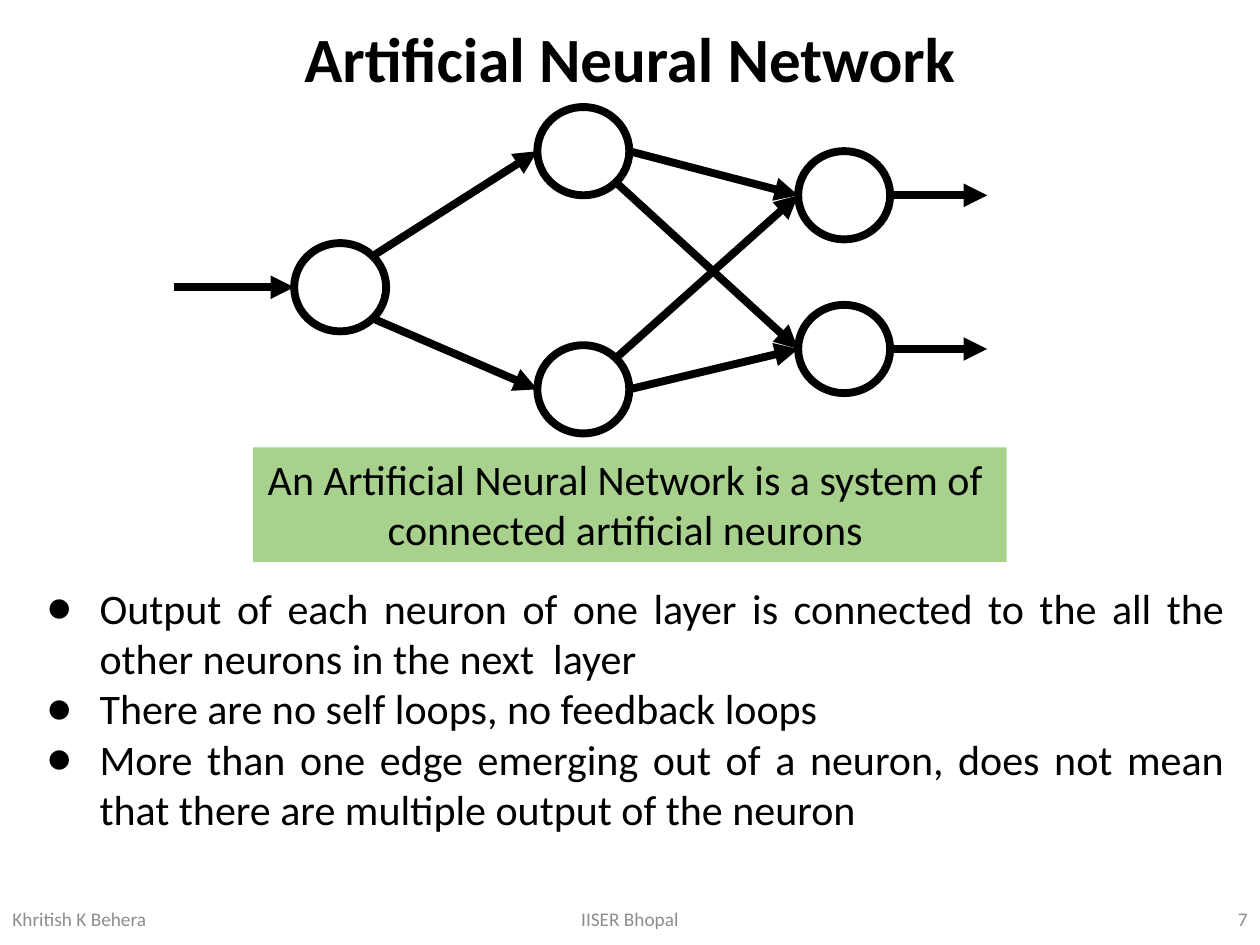
from math import cos, radians, sin

from lxml.etree import SubElement
from pptx import Presentation
from pptx.dml.color import RGBColor
from pptx.enum.shapes import MSO_CONNECTOR, MSO_SHAPE
from pptx.enum.text import MSO_ANCHOR, MSO_AUTO_SIZE, PP_ALIGN
from pptx.oxml.ns import qn
from pptx.util import Inches, Pt

# Content
TITLE = "Artificial Neural Network"
CAPTION = ["An Artificial Neural Network is a system of ",
           "connected artificial neurons "]
BULLETS = [
    "Output of each neuron of one layer is connected to the all the other "
    "neurons in the next  layer",
    "There are no self loops, no feedback loops",
    "More than one edge emerging out of a neuron, does not mean that there "
    "are multiple output of the neuron ",
]
FOOTER = [  # text, left, width, alignment
    ("Khritish K Behera", 0, 2.25, PP_ALIGN.LEFT),
    ("IISER Bhopal", 3.31, 3.38, PP_ALIGN.CENTER),
    ("7", 7.75, 2.25, PP_ALIGN.RIGHT),
]
FONT, BLACK, WHITE, GREY, GREEN = "Calibri", "000000", "FFFFFF", "8C8C8C", "A9D18E"

# Network: neuron centres, and edges with the angle at which they leave
NEURON_W, NEURON_H, STROKE = 0.73, 0.7, 4.5
NEURONS = {
    "input": (2.7, 2.28),
    "hidden 1": (4.63, 1.2), "hidden 2": (4.63, 3.09),
    "output 1": (6.7, 1.55), "output 2": (6.7, 2.77),
}
RIGHT, DOWN, LEFT, UP = 0, 45, 180, -45
EDGES = [
    ("input", UP, "hidden 1"), ("input", DOWN, "hidden 2"),
    ("hidden 1", RIGHT, "output 1"), ("hidden 1", DOWN, "output 2"),
    ("hidden 2", UP, "output 1"), ("hidden 2", RIGHT, "output 2"),
]
INPUT_LENGTH, OUTPUT_LENGTH = 0.95, 0.77


def color(value):
    return RGBColor.from_string(value)


def place(sp, left, top, width, height):
    sp.left, sp.top = Inches(left), Inches(top)
    sp.width, sp.height = Inches(width), Inches(height)


def write(sp, lines, size, align, fill=BLACK, anchor=MSO_ANCHOR.TOP, bold=False):
    tf = sp.text_frame
    tf.text = "\n".join(lines)
    tf.word_wrap = True
    tf.auto_size = MSO_AUTO_SIZE.NONE
    tf.vertical_anchor = anchor
    for p in tf.paragraphs:
        p.alignment = align
        p.space_before = Pt(0)
        for r in p.runs:
            r.font.name, r.font.size, r.font.bold = FONT, Pt(size), bold
            r.font.color.rgb = color(fill)


def add_bullet(p):
    pPr = p._p.get_or_add_pPr()
    pPr.set("marL", str(Inches(0.5)))
    pPr.set("indent", str(Inches(-0.42)))
    clr = SubElement(pPr, qn("a:buClr"))
    SubElement(clr, qn("a:srgbClr"), val=BLACK)
    SubElement(pPr, qn("a:buFont"), typeface=FONT)
    SubElement(pPr, qn("a:buChar"), char="●")


def rim(neuron, angle):
    """Point on a neuron's outline; angles run clockwise from the right."""
    x, y = NEURONS[neuron]
    a = radians(angle)
    return x + NEURON_W / 2 * cos(a), y + NEURON_H / 2 * sin(a)


def add_arrow(s, start, end):
    points = [Inches(v) for v in (*start, *end)]
    line = s.shapes.add_connector(MSO_CONNECTOR.STRAIGHT, *points)
    line.line.color.rgb = color(BLACK)
    line.line.width = Pt(STROKE)
    SubElement(line.line._get_or_add_ln(), qn("a:tailEnd"), type="triangle")
    SubElement(line._element.spPr, qn("a:effectLst"))


def add_shape(s, kind, box, fill):
    sp = s.shapes.add_shape(kind, *[Inches(v) for v in box])
    sp.shadow.inherit = False
    sp.fill.solid()
    sp.fill.fore_color.rgb = color(fill)
    return sp


def main():
    prs = Presentation()
    prs.slide_width, prs.slide_height = Inches(10), Inches(7.5)
    s = prs.slides.add_slide(prs.slide_layouts[1])

    # Title
    title = s.shapes.title
    place(title, 0, 0.01, 10, 0.96)
    write(title, [TITLE], 36, PP_ALIGN.CENTER, anchor=MSO_ANCHOR.MIDDLE, bold=True)
    title.text_frame.paragraphs[0].line_spacing = 0.9

    # Footer
    for text, left, width, align in FOOTER:
        box = s.shapes.add_textbox(0, 0, 0, 0)
        place(box, left, 7.09, width, 0.4)
        write(box, [text], 11, align, GREY, MSO_ANCHOR.MIDDLE)

    # Neurons
    for x, y in NEURONS.values():
        box = (x - NEURON_W / 2, y - NEURON_H / 2, NEURON_W, NEURON_H)
        sp = add_shape(s, MSO_SHAPE.OVAL, box, WHITE)
        sp.line.color.rgb = color(BLACK)
        sp.line.width = Pt(STROKE)

    # Edges between layers, then the network's outputs and input
    for source, angle, target in EDGES:
        add_arrow(s, rim(source, angle), rim(target, LEFT))
    for neuron in ("output 1", "output 2"):
        x, y = rim(neuron, RIGHT)
        add_arrow(s, (x, y), (x + OUTPUT_LENGTH, y))
    x, y = rim("input", LEFT)
    add_arrow(s, (x - INPUT_LENGTH, y), (x, y))

    # Caption
    caption = add_shape(s, MSO_SHAPE.RECTANGLE, (2.01, 3.55, 5.98, 0.91), GREEN)
    caption.line.fill.background()
    write(caption, CAPTION, 24, PP_ALIGN.CENTER)

    # Bullet list
    body = s.placeholders[1]
    place(body, 0.19, 4.57, 9.63, 2.12)
    write(body, BULLETS, 24, PP_ALIGN.JUSTIFY)
    for p in body.text_frame.paragraphs:
        add_bullet(p)

    prs.save("out.pptx")


if __name__ == "__main__":
    main()
